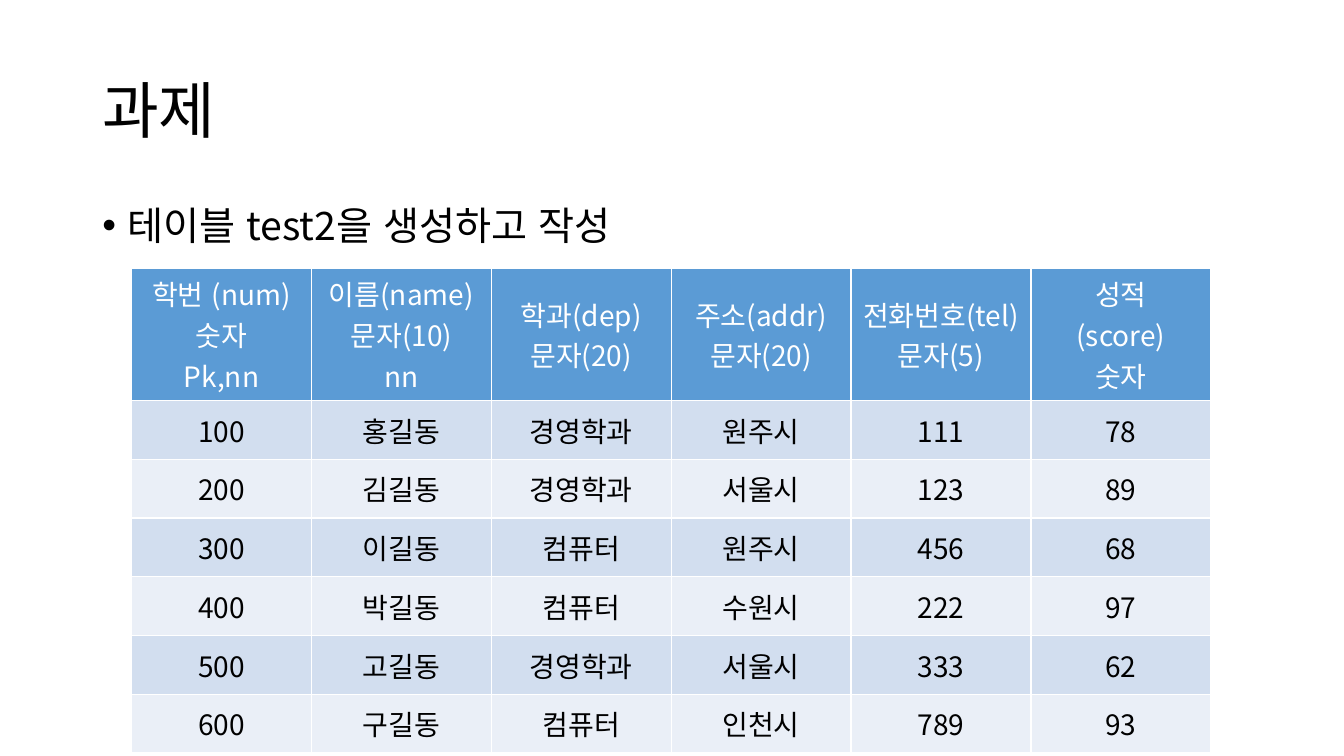
from lxml.etree import SubElement
from pptx import Presentation
from pptx.dml.color import RGBColor
from pptx.enum.lang import MSO_LANGUAGE_ID as LANG
from pptx.enum.text import MSO_ANCHOR as ANCHOR, PP_ALIGN as ALIGN
from pptx.oxml.ns import qn
from pptx.util import Pt

FONT = "Noto Sans CJK KR"
COLORS = {
    "text": "000000",
    "header_text": "FFFFFF",
    "header": "5B9BD5",
    "odd": "D2DEEF",
    "even": "EAEFF7",
    "border": "FFFFFF",
}
HEADERS = [
    "학번 (num)\n숫자\nPk,nn",
    "이름(name)\n문자(10)\nnn",
    "학과(dep)\n문자(20)",
    "주소(addr)\n문자(20)",
    "전화번호(tel)\n문자(5)",
    "성적\n(score)\n숫자",
]
STUDENTS = [
    ["100", "홍길동", "경영학과", "원주시", "111", "78"],
    ["200", "김길동", "경영학과", "서울시", "123", "89"],
    ["300", "이길동", "컴퓨터", "원주시", "456", "68"],
    ["400", "박길동", "컴퓨터", "수원시", "222", "97"],
    ["500", "고길동", "경영학과", "서울시", "333", "62"],
    ["600", "구길동", "컴퓨터", "인천시", "789", "93"],
]
COLUMN_WIDTH, HEADER_HEIGHT, ROW_HEIGHT = 128.5, 94.5, 42


def rgb(name):
    return RGBColor.from_string(COLORS[name])


def write(tf, text, size, color="text", **paragraph_format):
    """Fill a text frame, one paragraph per line of text."""
    tf.word_wrap = True
    tf.text = text
    for p in tf.paragraphs:
        for name, value in paragraph_format.items():
            setattr(p, name, value)
        for r in p.runs:
            font = {"name": FONT, "size": Pt(size), "language_id": LANG.KOREAN}
            for name, value in font.items():
                setattr(r.font, name, value)
            r.font.color.rgb = rgb(color)
            SubElement(r.font._element, qn("a:ea"), typeface=FONT)


def add_text(slide, left, top, width, height, text, size,
             anchor=ANCHOR.TOP, **paragraph_format):
    tf = slide.shapes.add_textbox(Pt(left), Pt(top), Pt(width), Pt(height)).text_frame
    tf.vertical_anchor = anchor
    write(tf, text, size, **paragraph_format)
    return tf


def add_bullet(p, indent):
    pPr = p._p.get_or_add_pPr()
    pPr.set("marL", str(Pt(indent)))
    pPr.set("indent", str(-Pt(indent)))
    SubElement(pPr, qn("a:buFont"), typeface="Arial")
    SubElement(pPr, qn("a:buChar"), char="•")


def set_borders(cell, width=1):
    tcPr = cell._tc.get_or_add_tcPr()
    for side in "LRTB":
        ln = SubElement(tcPr, qn(f"a:ln{side}"), w=str(Pt(width)))
        fill = SubElement(ln, qn("a:solidFill"))
        SubElement(fill, qn("a:srgbClr"), val=COLORS["border"])


def add_student_table(slide, left, top):
    rows = [HEADERS] + STUDENTS
    width = COLUMN_WIDTH * len(HEADERS)
    height = HEADER_HEIGHT + ROW_HEIGHT * len(STUDENTS)
    table = slide.shapes.add_table(
        len(rows), len(HEADERS), Pt(left), Pt(top), Pt(width), Pt(height)).table
    for column in table.columns:
        column.width = Pt(COLUMN_WIDTH)
    for i, values in enumerate(rows):
        is_header = i == 0
        table.rows[i].height = Pt(HEADER_HEIGHT if is_header else ROW_HEIGHT)
        fill = "header" if is_header else "odd" if i % 2 else "even"
        for cell, value in zip(table.rows[i].cells, values):
            cell.vertical_anchor = ANCHOR.MIDDLE
            set_borders(cell)
            cell.fill.solid()
            cell.fill.fore_color.rgb = rgb(fill)
            write(cell.text_frame, value, 20,
                  "header_text" if is_header else "text", alignment=ALIGN.CENTER)


def main():
    prs = Presentation()
    prs.slide_width, prs.slide_height = Pt(960), Pt(540)
    slide = prs.slides.add_slide(prs.slide_layouts[6])
    add_text(slide, 66, 28.75, 828, 104.4, "과제", 44,
             anchor=ANCHOR.MIDDLE, line_spacing=0.9)
    task = add_text(slide, 66, 143.75, 828, 47.5, "테이블 test2을 생성하고 작성", 28,
                    line_spacing=0.9, space_before=Pt(10))
    add_bullet(task.paragraphs[0], 18)
    add_student_table(slide, 93.9, 191.5)
    prs.save("out.pptx")


if __name__ == "__main__":
    main()
